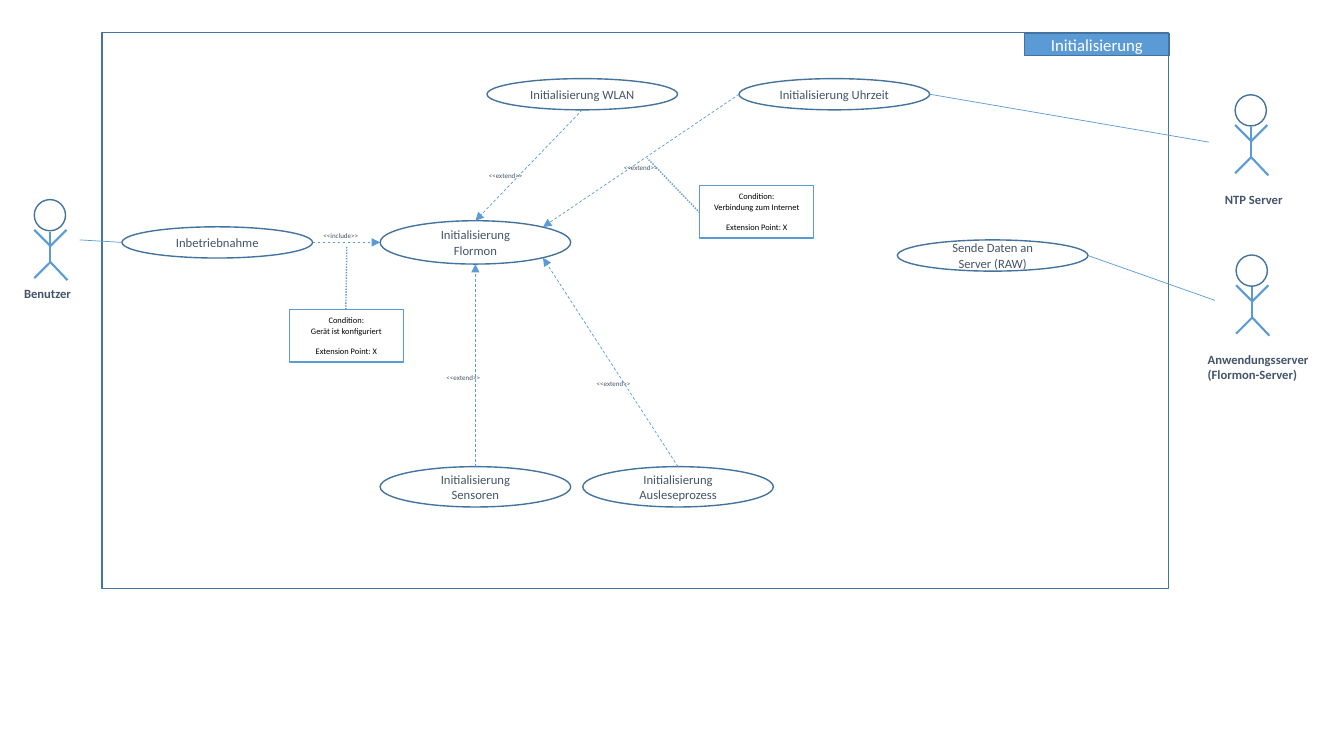
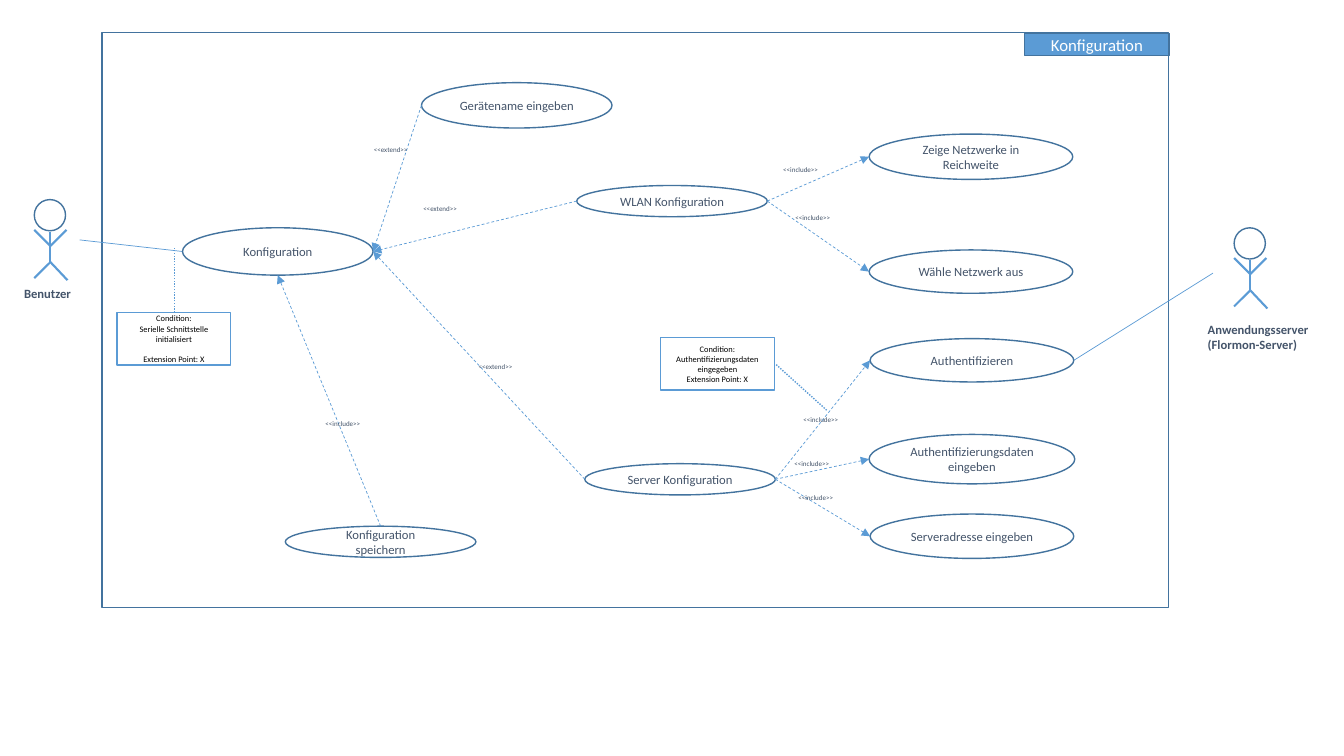
from dataclasses import dataclass
from typing import Optional

from pptx import Presentation
from pptx.dml.color import RGBColor
from pptx.enum.dml import MSO_LINE
from pptx.enum.shapes import MSO_CONNECTOR, MSO_SHAPE
from pptx.enum.text import MSO_ANCHOR, MSO_AUTO_SIZE, PP_ALIGN
from pptx.oxml.ns import qn
from pptx.oxml.xmlchemy import OxmlElement
from pptx.util import Inches, Pt

Point = tuple[float, float]


@dataclass(frozen=True)
class Theme:
    font: str = "Calibri"
    accent: str = "5B9BD5"
    outline: str = "43739E"
    text: str = "44546A"
    white: str = "FFFFFF"
    black: str = "000000"
    title_size: float = 12
    body_size: float = 9
    note_size: float = 6
    label_size: float = 5
    outline_width: float = 1
    figure_width: float = 1.5
    link_width: float = 0.5


THEME = Theme()


@dataclass(frozen=True)
class UseCase:
    text: str
    x: float
    y: float
    h: float = 0.31
    w: float = 1.89

    def at(self, dx: float, dy: float) -> Point:
        return self.x + self.w * (1 + dx) / 2, self.y + self.h * (1 + dy) / 2

    @property
    def left(self) -> Point:
        return self.at(-1, 0)

    @property
    def right(self) -> Point:
        return self.at(1, 0)

    @property
    def top(self) -> Point:
        return self.at(0, -1)

    @property
    def bottom(self) -> Point:
        return self.at(0, 1)

    @property
    def top_right(self) -> Point:
        return self.at(0.71, -0.71)

    @property
    def bottom_right(self) -> Point:
        return self.at(0.71, 0.71)


@dataclass(frozen=True)
class Actor:
    name: str
    x: float
    y: float
    name_at: Point
    name_w: float
    link_from: Point
    link_to: Point


@dataclass(frozen=True)
class Relation:
    start: Point
    end: Point
    kind: str
    label_at: Point


@dataclass(frozen=True)
class Condition:
    text: str
    x: float
    y: float
    start: Point
    end: Point
    gap: Optional[float] = 7.2


@dataclass(frozen=True)
class Diagram:
    title: str
    frame_h: float
    actors: list[Actor]
    use_cases: list[UseCase]
    relations: list[Relation]
    conditions: list[Condition]


def box(x: float, y: float, w: float, h: float) -> list:
    return [Inches(v) for v in (x, y, w, h)]


def rgb(value: str) -> RGBColor:
    return RGBColor.from_string(value)


def write(tf, text: str, *, size: float = THEME.body_size, color: str = THEME.text,
          bold: bool = False, align=PP_ALIGN.LEFT, anchor=MSO_ANCHOR.TOP) -> None:
    tf.word_wrap = True
    tf.vertical_anchor = anchor
    for i, line in enumerate(text.split("\n")):
        p = tf.paragraphs[0] if i == 0 else tf.add_paragraph()
        p.text = line
        p.alignment = align
        for r in p.runs:
            r.font.name = THEME.font
            r.font.size = Pt(size)
            r.font.bold = bold
            r.font.color.rgb = rgb(color)


def style(sp, line: str, fill: Optional[str] = None) -> None:
    if fill:
        sp.fill.solid()
        sp.fill.fore_color.rgb = rgb(fill)
    else:
        sp.fill.background()
    sp.line.color.rgb = rgb(line)
    sp.line.width = Pt(THEME.outline_width)


def add_outline(shapes, kind, bounds: list, line: str = THEME.outline,
                fill: Optional[str] = None):
    sp = shapes.add_shape(kind, *bounds)
    sp.shadow.inherit = False
    style(sp, line, fill)
    return sp


def add_label(slide, text: str, bounds: list, **fmt) -> None:
    write(slide.shapes.add_textbox(*bounds).text_frame, text, **fmt)


def add_line(shapes, start: Point, end: Point, *, width: float = THEME.link_width,
             dash=None, arrow: bool = False) -> None:
    ends = [Inches(v) for v in (*start, *end)]
    sp = shapes.add_connector(MSO_CONNECTOR.STRAIGHT, *ends)
    sp.line.color.rgb = rgb(THEME.accent)
    sp.line.width = Pt(width)
    if dash:
        sp.line.dash_style = dash
    spPr = sp._element.spPr
    if arrow:
        head = OxmlElement("a:tailEnd")
        head.set("type", "triangle")
        spPr.find(qn("a:ln")).append(head)
    spPr.append(OxmlElement("a:effectLst"))


def add_title(slide, text: str) -> None:
    sp = slide.shapes.title
    sp.left, sp.top, sp.width, sp.height = box(10.16, 0.33, 1.44, 0.22)
    style(sp, THEME.outline, THEME.accent)
    tf = sp.text_frame
    tf.auto_size = MSO_AUTO_SIZE.NONE
    tf.margin_top = tf.margin_bottom = 0
    write(tf, text, size=THEME.title_size, color=THEME.white,
          align=PP_ALIGN.CENTER, anchor=MSO_ANCHOR.MIDDLE)


def add_actor(slide, actor: Actor) -> None:
    group = slide.shapes.add_group_shape().shapes
    add_outline(group, MSO_SHAPE.OVAL, box(actor.x, actor.y, 0.31, 0.31))
    neck, chest, hip = (0.16, 0.32), (0.16, 0.46), (0.16, 0.62)
    limbs = [(neck, hip), (hip, (0.33, 0.8)), (hip, (0, 0.78)),
             (chest, (0.32, 0.3)), (chest, (0, 0.3))]
    for limb in limbs:
        start, end = ((actor.x + dx, actor.y + dy) for dx, dy in limb)
        add_line(group, start, end, width=THEME.figure_width)
    add_label(slide, actor.name, box(*actor.name_at, actor.name_w, 0.25), bold=True)
    add_line(slide.shapes, actor.link_from, actor.link_to)


def add_use_case(slide, case: UseCase) -> None:
    sp = add_outline(slide.shapes, MSO_SHAPE.OVAL, box(case.x, case.y, case.w, case.h))
    write(sp.text_frame, case.text, align=PP_ALIGN.CENTER, anchor=MSO_ANCHOR.MIDDLE)


def add_relation(slide, rel: Relation) -> None:
    add_line(slide.shapes, rel.start, rel.end, dash=MSO_LINE.DASH, arrow=True)
    add_label(slide, f"<<{rel.kind}>>", box(*rel.label_at, 0.66, 0.19),
              size=THEME.label_size)


def add_condition(slide, cond: Condition) -> None:
    add_line(slide.shapes, cond.start, cond.end, width=THEME.outline_width,
             dash=MSO_LINE.ROUND_DOT)
    sp = add_outline(slide.shapes, MSO_SHAPE.RECTANGLE, box(cond.x, cond.y, 1.13, 0.52),
                     THEME.accent, THEME.white)
    write(sp.text_frame, f"Condition:\n{cond.text}\nExtension Point: X",
          size=THEME.note_size, color=THEME.black,
          align=PP_ALIGN.CENTER, anchor=MSO_ANCHOR.MIDDLE)
    if cond.gap:
        sp.text_frame.paragraphs[-1].space_before = Pt(cond.gap)


def add_diagram(prs, diagram: Diagram) -> None:
    slide = prs.slides.add_slide(prs.slide_layouts[5])
    add_outline(slide.shapes, MSO_SHAPE.RECTANGLE, box(1.01, 0.32, 10.58, diagram.frame_h))
    add_title(slide, diagram.title)
    for add, items in ((add_actor, diagram.actors), (add_use_case, diagram.use_cases),
                       (add_relation, diagram.relations),
                       (add_condition, diagram.conditions)):
        for item in items:
            add(slide, item)


def user(target: UseCase) -> Actor:
    return Actor("Benutzer", 0.34, 1.98, (0.14, 2.79), 0.72, (0.79, 2.38), target.left)


def app_server(x: float, y: float, name_y: float, source: UseCase) -> Actor:
    return Actor("Anwendungsserver\n(Flormon-Server)", x, y, (11.88, name_y), 1.41,
                 (x - 0.21, y + 0.45), source.right)


def initialisation() -> Diagram:
    device = UseCase("Initialisierung Flormon", 3.77, 2.19, 0.43)
    startup = UseCase("Inbetriebnahme", 1.21, 2.25)
    send = UseCase("Sende Daten an Server (RAW)", 8.9, 2.38)
    clock = UseCase("Initialisierung Uhrzeit", 7.33, 0.78)
    wlan = UseCase("Initialisierung WLAN", 4.83, 0.78)
    sensors = UseCase("Initialisierung Sensoren", 3.77, 4.63, 0.4)
    readout = UseCase("Initialisierung Ausleseprozess", 5.78, 4.63, 0.4)
    ntp = Actor("NTP Server", 12.25, 0.94, (12.05, 1.85), 0.82, (11.99, 1.41), clock.right)
    return Diagram(
        "Initialisierung", 5.52,
        [user(startup), ntp, app_server(12.26, 2.53, 3.44, send)],
        [device, startup, send, clock, wlan, sensors, readout],
        [Relation(startup.right, device.left, "include", (3.11, 2.25)),
         Relation(clock.left, device.top_right, "extend", (6.09, 1.57)),
         Relation(wlan.bottom, device.top, "extend", (4.75, 1.65)),
         Relation(sensors.top, device.bottom, "extend", (4.33, 3.66)),
         Relation(readout.top, device.bottom_right, "extend", (5.82, 3.72))],
        [Condition("Gerät ist konfiguriert", 2.87, 3.07, (3.43, 3.07), (3.44, 2.44)),
         Condition("Verbindung zum Internet", 6.94, 1.84, (6.94, 2.11), (6.42, 1.57))])


def configuration() -> Diagram:
    config = UseCase("Konfiguration", 1.81, 2.26, 0.47)
    wlan = UseCase("WLAN Konfiguration", 5.72, 1.84)
    server = UseCase("Server Konfiguration", 5.8, 4.6)
    networks = UseCase("Zeige Netzwerke in Reichweite", 8.62, 1.33, 0.45, 2.02)
    choose = UseCase("Wähle Netzwerk aus", 8.62, 2.48, 0.43, 2.02)
    login = UseCase("Authentifizieren", 8.63, 3.36, 0.43, 2.02)
    credentials = UseCase("Authentifizierungsdaten\veingeben", 8.62, 4.31, 0.49, 2.04)
    address = UseCase("Serveradresse eingeben", 8.63, 5.1, 0.44, 2.02)
    name = UseCase("Gerätename eingeben", 4.18, 0.82, 0.45)
    save = UseCase("Konfiguration speichern", 2.83, 5.22)
    return Diagram(
        "Konfiguration", 5.71,
        [user(config), app_server(12.24, 2.26, 3.14, login)],
        [config, wlan, server, networks, choose, login, credentials, address, name, save],
        [Relation(name.left, config.right, "extend", (3.61, 1.39)),
         Relation(wlan.left, config.right, "extend", (4.1, 1.98)),
         Relation(server.left, config.right, "extend", (4.65, 3.55)),
         Relation(save.top, config.bottom, "include", (3.13, 4.11)),
         Relation(wlan.right, networks.left, "include", (7.67, 1.59)),
         Relation(wlan.right, choose.left, "include", (7.79, 2.07)),
         Relation(server.right, login.left, "include", (7.87, 4.07)),
         Relation(server.right, credentials.left, "include", (7.78, 4.51)),
         Relation(server.right, address.left, "include", (7.82, 4.85))],
        [Condition("Serielle Schnittstelle initialisiert", 1.16, 3.1,
                   (1.73, 3.1), (1.73, 2.46)),
         Condition("Authentifizierungsdaten eingegeben", 6.55, 3.35,
                   (8.2, 4.07), (7.69, 3.61), gap=None)])


prs = Presentation()
prs.slide_width, prs.slide_height = Inches(13.33), Inches(7.5)
for diagram in (initialisation(), configuration()):
    add_diagram(prs, diagram)
prs.save("out.pptx")
